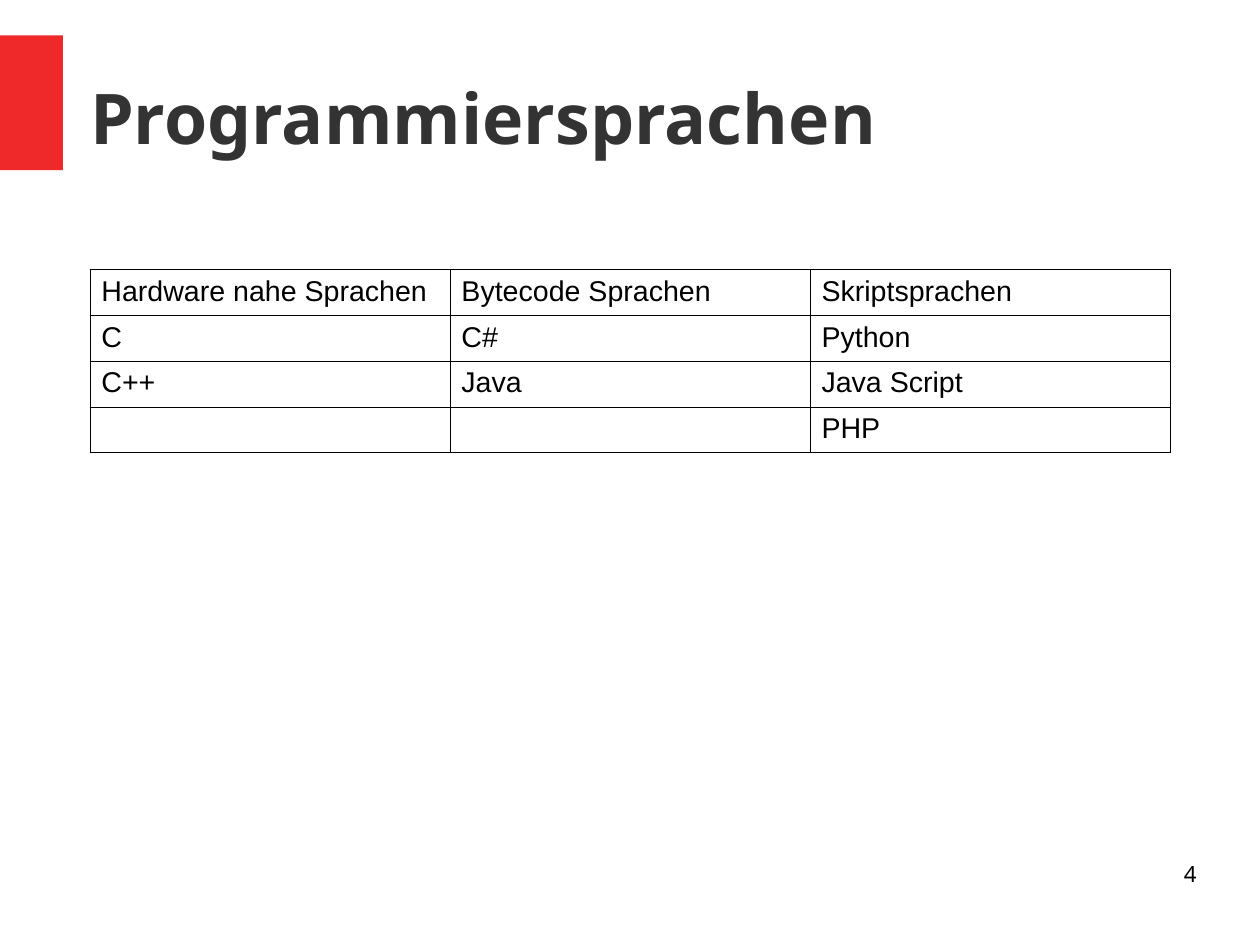
"""Build the slide that groups programming languages in a table."""
from lxml.etree import SubElement
from pptx import Presentation
from pptx.dml.color import RGBColor
from pptx.enum.shapes import MSO_SHAPE as Shape
from pptx.enum.text import MSO_ANCHOR as Anchor, PP_ALIGN as Align
from pptx.oxml.ns import qn
from pptx.util import Inches, Pt

TITLE = "Programmiersprachen"
PAGE_NUMBER = "4"
LANGUAGES = [
    ("Hardware nahe Sprachen", "Bytecode Sprachen", "Skriptsprachen"),
    ("C", "C#", "Python"),
    ("C++", "Java", "Java Script"),
    ("", "", "PHP"),
]
COLORS = {"accent": "EF2929", "title": "333333", "text": "000000", "border": "000000"}
CM_PER_INCH = 2.54
SLIDE_WIDTH, SLIDE_HEIGHT = 28 / CM_PER_INCH, 21 / CM_PER_INCH
LEFT = 2 / CM_PER_INCH
COLUMN_WIDTH, ROW_HEIGHT = 3.15, 0.37
BORDER_WIDTH = 0.57


def color(name):
    return RGBColor.from_string(COLORS[name])


def style(paragraph, font_name, size, color_name, bold=False):
    font = paragraph.font
    font.name, font.size, font.bold = font_name, Pt(size), bold
    font.color.rgb = color(color_name)


def add_text(slide, text, box, anchor, align, **font):
    frame = slide.shapes.add_textbox(*map(Inches, box)).text_frame
    frame.word_wrap = True
    frame.margin_left = frame.margin_right = frame.margin_top = frame.margin_bottom = 0
    frame.vertical_anchor = anchor
    paragraph = frame.paragraphs[0]
    paragraph.text, paragraph.alignment = text, align
    style(paragraph, "Noto Sans", **font)


def add_borders(cell):
    properties = cell._tc.get_or_add_tcPr()
    for position, side in enumerate(("a:lnL", "a:lnR", "a:lnT", "a:lnB")):
        line = SubElement(properties, qn(side), w=str(Pt(BORDER_WIDTH)))
        properties.insert(position, line)
        fill = SubElement(line, qn("a:solidFill"))
        SubElement(fill, qn("a:srgbClr"), val=COLORS["border"])


def add_language_table(slide):
    rows, columns = len(LANGUAGES), len(LANGUAGES[0])
    box = (LEFT, 2.36, columns * COLUMN_WIDTH, rows * ROW_HEIGHT)
    table = slide.shapes.add_table(rows, columns, *map(Inches, box)).table
    table.first_row = table.horz_banding = False
    for cell, text in zip(table.iter_cells(), sum(LANGUAGES, ())):
        cell.fill.background()
        add_borders(cell)
        cell.margin_left = cell.margin_right = Inches(0.1)
        paragraph = cell.text_frame.paragraphs[0]
        if text:
            paragraph.text = text
        style(paragraph, "Arial", 18, "text")


def main():
    presentation = Presentation()
    presentation.slide_width = Inches(SLIDE_WIDTH)
    presentation.slide_height = Inches(SLIDE_HEIGHT)
    slide = presentation.slides.add_slide(presentation.slide_layouts[6])

    accent = slide.shapes.add_shape(Shape.RECTANGLE, *map(Inches, (0, 0.31, 0.55, 1.18)))
    accent.shadow.inherit = False
    accent.fill.solid()
    accent.fill.fore_color.rgb = color("accent")
    accent.line.fill.background()

    add_text(slide, TITLE, (LEFT, 0.33, 9.68, 1.38), Anchor.MIDDLE, Align.LEFT,
             size=44, color_name="title", bold=True)
    add_language_table(slide)
    add_text(slide, PAGE_NUMBER, (7.9, 7.53, 2.57, 0.57), Anchor.TOP, Align.RIGHT,
             size=14, color_name="text")
    presentation.save("out.pptx")


if __name__ == "__main__":
    main()
